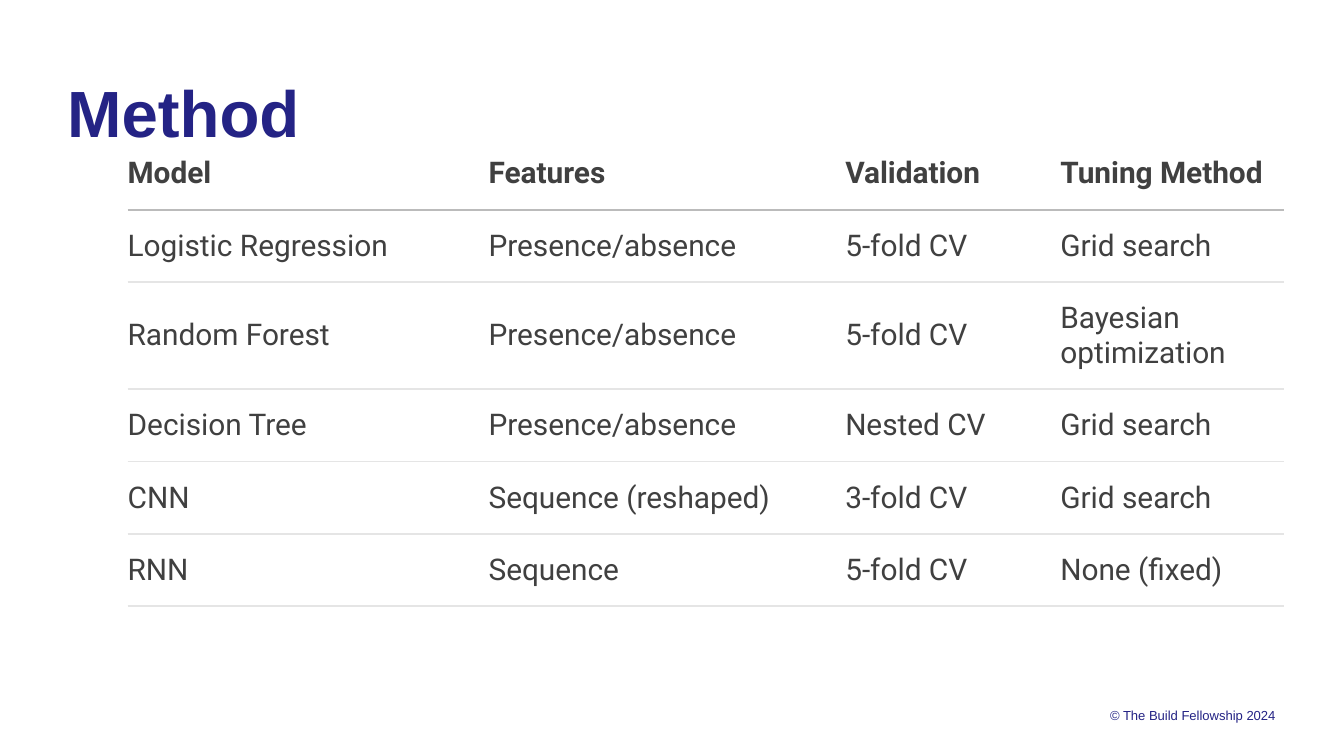
from lxml import etree
from pptx import Presentation
from pptx.dml.color import RGBColor
from pptx.enum.text import MSO_ANCHOR, MSO_AUTO_SIZE, PP_ALIGN
from pptx.oxml.ns import qn
from pptx.util import Pt

TOP, MIDDLE = MSO_ANCHOR.TOP, MSO_ANCHOR.MIDDLE
LEFT, RIGHT = PP_ALIGN.LEFT, PP_ALIGN.RIGHT
NO_AUTOFIT = MSO_AUTO_SIZE.NONE
TITLE_ONLY = 5

NAVY, GRAY = "242385", "404040"
HEADER_RULE, ROW_RULE = "BBBBBB", "E5E5E5"

TITLE_FONT = {"name": "Arial", "size": Pt(35), "bold": True}
FOOTER_FONT = {"name": "Arial", "size": Pt(7), "bold": False}
HEADER_FONT = {"name": "Roboto", "size": Pt(16), "bold": True}
BODY_FONT = {**HEADER_FONT, "bold": False}

COLUMN_WIDTHS = (183.3, 191.1, 115.2, 129.8)
ROW_HEIGHT, TALL_ROW_HEIGHT = 38.57, 57.32
TALL_ROW = 2
CELL_PADDING = 10.08
METHODS = (
    ("Model", "Features", "Validation", "Tuning Method"),
    ("Logistic Regression", "Presence/absence", "5-fold CV", "Grid search"),
    ("Random Forest", "Presence/absence", "5-fold CV", "Bayesian optimization"),
    ("Decision Tree", "Presence/absence", "Nested CV", "Grid search"),
    ("CNN", "Sequence (reshaped)", "3-fold CV", "Grid search"),
    ("RNN", "Sequence", "5-fold CV", "None (fixed)"),
)


def color(value):
    return RGBColor.from_string(value)


def set_font(para, font, text_color):
    for name, value in font.items():
        setattr(para.font, name, value)
    para.font.color.rgb = color(text_color)


def fill_text(shape, text, font, anchor, align):
    """Write one navy paragraph into a shape without insets."""
    frame = shape.text_frame
    frame.text = text
    settings = {"word_wrap": True, "auto_size": NO_AUTOFIT,
                "vertical_anchor": anchor, "margin_left": 0,
                "margin_top": 0, "margin_right": 0, "margin_bottom": 0}
    for name, value in settings.items():
        setattr(frame, name, value)
    para = frame.paragraphs[0]
    para.alignment = align
    set_font(para, font, NAVY)
    return para


def place_title(page, box):
    title = page.shapes.title
    title.left, title.top, title.width, title.height = map(Pt, box)
    para = fill_text(title, "Method", TITLE_FONT, TOP, LEFT)
    para.line_spacing = 1.1


def place_footer(page, box):
    footer = page.shapes.add_textbox(*map(Pt, box))
    fill_text(footer, "© The Build Fellowship 2024", FOOTER_FONT, MIDDLE, RIGHT)


def set_borders(cell, rules):
    """Draw the sides named in rules and hide the others."""
    properties = cell._tc.get_or_add_tcPr()
    for index, side in enumerate(("lnL", "lnR", "lnT", "lnB")):
        line = etree.Element(qn(f"a:{side}"), w=str(Pt(1)))
        if side in rules:
            fill = etree.SubElement(line, qn("a:solidFill"))
            etree.SubElement(fill, qn("a:srgbClr"), val=rules[side])
        else:
            etree.SubElement(line, qn("a:noFill"))
        properties.insert(index, line)


def format_cell(cell, text, is_header, is_first_column):
    cell.text = text
    cell.vertical_anchor = MIDDLE
    cell.margin_left = Pt(0 if is_first_column else CELL_PADDING)
    cell.margin_top = cell.margin_right = cell.margin_bottom = Pt(CELL_PADDING)
    cell.fill.background()
    set_font(cell.text_frame.paragraphs[0],
             HEADER_FONT if is_header else BODY_FONT, GRAY)


def place_methods(page, left, top):
    heights = [TALL_ROW_HEIGHT if row == TALL_ROW else ROW_HEIGHT
               for row in range(len(METHODS))]
    frame = page.shapes.add_table(
        len(METHODS), len(COLUMN_WIDTHS), Pt(left), Pt(top),
        Pt(sum(COLUMN_WIDTHS)), Pt(sum(heights)))
    table = frame.table
    table.first_row = table.horz_banding = False
    for column, width in zip(table.columns, COLUMN_WIDTHS):
        column.width = Pt(width)
    for index, (row, height, texts) in enumerate(zip(table.rows, heights, METHODS)):
        row.height = Pt(height)
        rules = {"lnB": ROW_RULE if index else HEADER_RULE}
        if index:
            rules["lnT"] = HEADER_RULE if index == 1 else ROW_RULE
        for position, (cell, text) in enumerate(zip(row.cells, texts)):
            format_cell(cell, text, index == 0, position == 0)
            set_borders(cell, rules)


def main():
    deck = Presentation()
    deck.slide_width, deck.slide_height = Pt(720), Pt(405)
    page = deck.slides.add_slide(deck.slide_layouts[TITLE_ONLY])
    place_footer(page, (36, 377.3, 647.3, 11.5))
    place_title(page, (36, 34.6, 483.8, 82.8))
    place_methods(page, 68.4, 73.7)
    deck.save("out.pptx")


if __name__ == "__main__":
    main()
